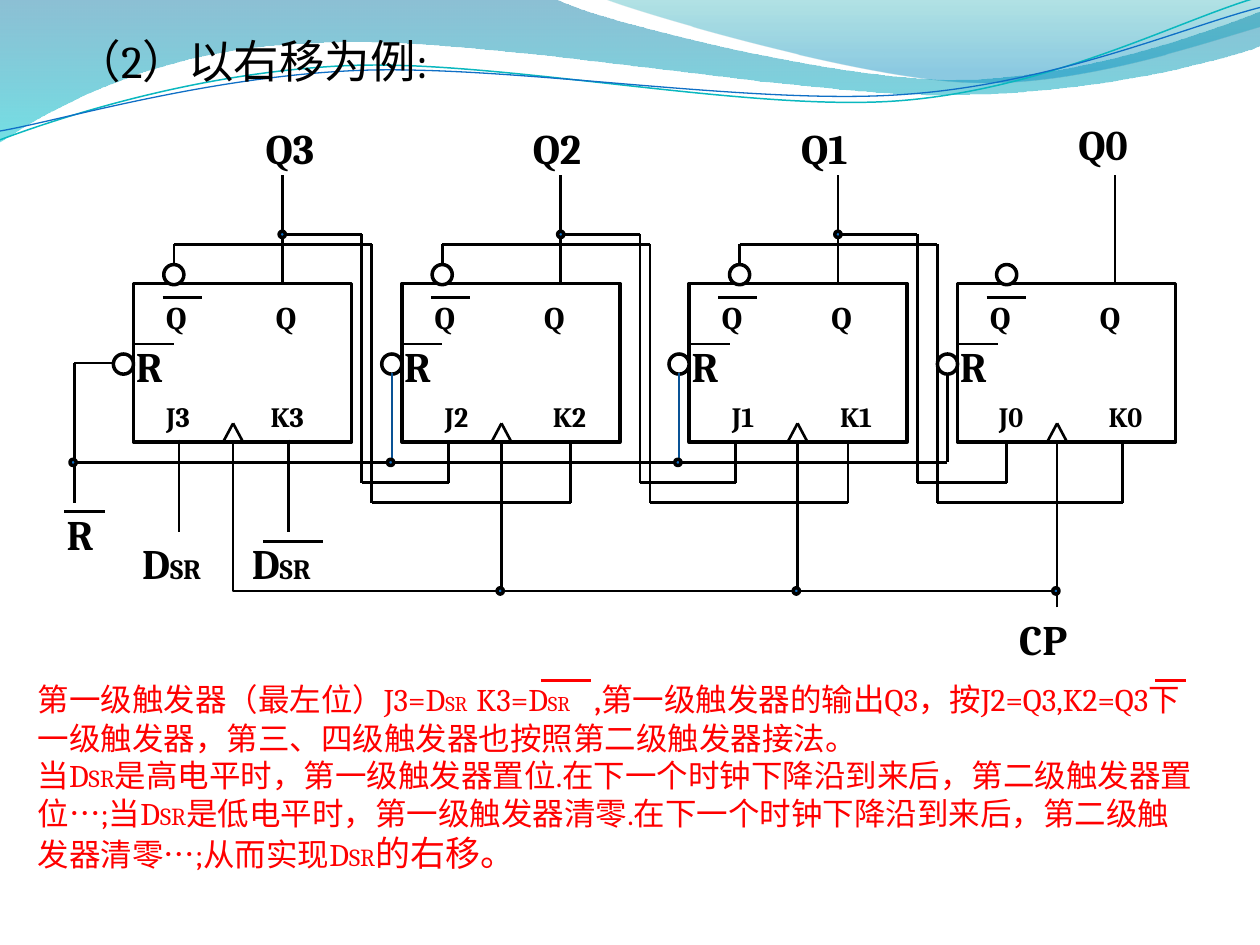
from itertools import pairwise
from math import cos, radians, sin

from lxml.etree import SubElement
from pptx import Presentation
from pptx.dml.color import RGBColor
from pptx.enum.shapes import MSO_CONNECTOR, MSO_SHAPE
from pptx.enum.text import MSO_ANCHOR, PP_ALIGN
from pptx.oxml.ns import qn
from pptx.util import Inches, Pt

FONT = "Cambria"
HUE = {"ink": "000000", "red": "FF0000", "paper": "FFFFFF", "dot": "0F6FC6",
       "wire": "095295", "teal": "0AB8BF", "deep": "0074A1", "aqua": "00C6CF",
       "sea": "00A1A9", "sky": "008BBF"}

# Stage: left edge, place of label, offsets of inverted output and clock,
# then offset and text width of the J and K pins
STAGES = [
    dict(n=3, left=1.06, tag=(2.01, 0.92), inv=0.32, clk=0.79,
         j=(0.16, 0.39), k=(0.99, 0.47)),
    dict(n=2, left=3.19, tag=(4.13, 0.92), inv=0.32, clk=0.79,
         j=(0.24, 0.39), k=(1.10, 0.55)),
    dict(n=1, left=5.47, tag=(6.26, 0.92), inv=0.4, clk=0.86,
         j=(0.24, 0.39), k=(1.10, 0.47)),
    dict(n=0, left=7.60, tag=(8.46, 0.89), inv=0.39, clk=0.79,
         j=(0.23, 0.55), k=(1.10, 0.63)),
]
TOP, WIDE, HIGH = 2.25, 1.73, 1.26
BASE = TOP + HIGH
OUTS = [2.24, 4.45, 6.65, 8.85]


def rgb(name):
    return RGBColor.from_string(HUE[name])


def write(frame, paras, size=24, color="ink", bold=True, right=0.0):
    """Each paragraph is a list of (text, size, extra spacing) runs."""
    frame.word_wrap = True
    frame.margin_right = Inches(right)
    frame.vertical_anchor = MSO_ANCHOR.TOP
    if isinstance(paras, str):
        paras = [[(paras, size, 0)]]
    for i, runs in enumerate(paras):
        para = frame.paragraphs[0] if i == 0 else frame.add_paragraph()
        para.alignment = PP_ALIGN.LEFT
        for words, pts, gap in runs:
            run = para.add_run()
            run.text = words
            font = run.font
            font.name, font.size, font.bold = FONT, Pt(pts), bold
            font.color.rgb = rgb(color)
            if gap:
                run._r.get_or_add_rPr().set("spc", str(gap))


def label(slide, words, x, y, w=0.79, h=0.5, **style):
    box = slide.shapes.add_textbox(Inches(x), Inches(y), Inches(w), Inches(h))
    write(box.text_frame, words, **style)


def join(slide, kind, start, end, color="ink"):
    line = slide.shapes.add_connector(kind, *(Inches(v) for v in start + end))
    line.line.color.rgb = rgb(color)
    line.line.width = Pt(1.5)
    SubElement(line._element.spPr, qn("a:effectLst"))
    return line


def wire(slide, *nodes, color="ink"):
    """Straight lines from node to node."""
    for start, end in pairwise(nodes):
        join(slide, MSO_CONNECTOR.STRAIGHT, start, end, color)


def bend(slide, x, y, right, low):
    """One corner: from lower right, along the bottom, up the left side."""
    line = join(slide, MSO_CONNECTOR.ELBOW, (x, y), (right, low))
    props = line._element.spPr
    props.find(qn("a:prstGeom")).set("prst", "bentConnector2")
    props.find(qn("a:xfrm")).set("rot", str(180 * 60000))


def solid(slide, kind, x, y, w, h, fill="paper"):
    item = slide.shapes.add_shape(kind, Inches(x), Inches(y), Inches(w), Inches(h))
    item.shadow.inherit = False
    item.fill.solid()
    item.fill.fore_color.rgb = rgb(fill)
    item.line.color.rgb = rgb("ink")
    item.line.width = Pt(2)


def ring(slide, x, y, size=0.16, fill="paper"):
    solid(slide, MSO_SHAPE.OVAL, x - size / 2, y - size / 2, size, size, fill)


def dot(slide, x, y):
    ring(slide, x, y, size=0.05, fill="dot")


# Background waves
def trace(slide, start, moves, close):
    """A move of two numbers is a line, one of six a cubic curve."""
    spots = [(Inches(m[i]), Inches(m[i + 1]))
             for m in moves for i in range(0, len(m), 2)]
    pen = slide.shapes.build_freeform(*map(Inches, start))
    pen.add_line_segments(spots, close=close)
    item = pen.convert_to_shape()
    item.shadow.inherit = False
    legs = iter(list(item._element.iter(qn("a:lnTo"))))
    for move in moves:
        leg = next(legs)
        if len(move) == 6:
            leg.tag = qn("a:cubicBezTo")
            for extra in (next(legs), next(legs)):
                leg.append(extra[0])
                extra.getparent().remove(extra)
    return item


def band(slide, start, moves, stops):
    item = trace(slide, start, moves, True)
    item.line.fill.background()
    item.fill.gradient()
    item.fill.gradient_angle = 270
    for stop, (place, color, alpha) in zip(item.fill.gradient_stops, stops):
        stop.position = place
        stop.color.rgb = rgb(color)
        tint = stop._gs.find(qn("a:srgbClr"))
        SubElement(tint, qn("a:alpha")).set("val", str(alpha * 1000))


def strand(slide, mid, start, moves, color, pts, tilt=2.7):
    """A thin curve whose frame is tilted about its middle."""
    c, s = cos(radians(tilt)), sin(radians(tilt))

    def turn(move):
        flat = []
        for x, y in zip(move[::2], move[1::2]):
            dx, dy = x - mid[0], y - mid[1]
            flat += [mid[0] + dx * c - dy * s, mid[1] + dx * s + dy * c]
        return flat

    item = trace(slide, turn(start), [turn(m) for m in moves], False)
    item.rotation = 360 - tilt
    item.fill.background()
    item.line.color.rgb = rgb(color)
    item.line.width = Pt(pts)


def waves(slide):
    band(slide, (0, 0), [
        (4.4, -0.01), (4.76, 0.17, 6.64, 0.63, 7.58, 0.63),
        (8.53, 0.63, 9.58, 0.26, 10, 0.09), (10.01, 0.36),
        (9.83, 0.44, 8.7, 0.76, 7.46, 0.75), (6.22, 0.75, 3.82, 0.28, 2.57, 0.34),
        (1.29, 0.36, 0.46, 0.83, -0.01, 1.13)], [(0, "deep", 45), (1, "aqua", 55)])
    band(slide, (4.79, -0.01), [
        (5.09, 0.11, 6.82, 0.62, 7.69, 0.65),
        (8.56, 0.69, 9.61, 0.32, 10, 0.21), (10, 0)],
        [(0, "sea", 30), (0.8, "sky", 45)])
    strand(slide, (4.99, 0.58), (0, 1.11), [
        (0.48, 0.93, 1.58, 0.57, 2.77, 0.52), (3.95, 0.47, 5.93, 0.89, 7.13, 0.8),
        (8.33, 0.71, 9.38, 0.15, 9.98, -0.02)], "teal", 0.85)
    strand(slide, (5, 0.59), (0, 1.04), [
        (0.47, 0.96, 1.64, 0.61, 2.83, 0.56), (4.03, 0.51, 5.97, 0.84, 7.17, 0.75),
        (8.36, 0.67, 9.41, 0.21, 10, 0.06)], "dot", 0.75)


def title(slide, x, y, w, h):
    head = slide.shapes.title
    head.left, head.top, head.width, head.height = map(Inches, (x, y, w, h))
    write(head.text_frame, "（2）以右移为例:", size=26, bold=False)
    head._element.getparent().append(head._element)  # in front of the waves


# One flip-flop with its pins
def stage(slide, x, y, w, h, n, inv, j, k, clk):
    solid(slide, MSO_SHAPE.RECTANGLE, x, y, w, h)
    ring(slide, x - 0.08, y + 0.64)
    ring(slide, x + inv, y - 0.07)
    for dx in (0.16, 1.03):
        label(slide, "Q", x + dx, y + 0.07, 0.39, 0.4, size=18)
    wire(slide, (x + 0.23, y + 0.11), (x + 0.54, y + 0.11))
    label(slide, "R", x - 0.08, y + 0.4)
    wire(slide, (x, y + 0.48), (x + 0.32, y + 0.48))
    for name, (dx, width) in (("J", j), ("K", k)):
        label(slide, f"{name}{n}", x + dx, y + 0.87, width, 0.37, size=16)
    wire(slide, (x + clk - 0.08, y + h), (x + clk, y + h - 0.15),
         (x + clk + 0.08, y + h))


# Outputs of one stage into J and K of the next
def link(slide, out, inv, drop, jin, kin):
    wire(slide, (out, 1.86), (out + 0.63, 1.86), (out + 0.63, 3.83),
         (jin, 3.83), (jin, BASE))
    wire(slide, (inv, TOP - 0.15), (inv, 1.94), (drop, 1.94), (drop, 3.99),
         (kin, 3.99))
    wire(slide, (kin, BASE), (kin, 3.99))
    dot(slide, out, 1.86)


def reset(slide, x, y, pins):
    wire(slide, (pins[0] - 0.07, 2.88), (x, 2.88), (x, 3.99))
    for pin, color in zip(pins[1:], ("wire", "wire", "ink")):
        wire(slide, (pin, 2.96), (pin, y), color=color)
    wire(slide, (pins[-1], y), (x, y))
    for spot in (x, *pins[1:3]):
        dot(slide, spot - 0.01, y)
    label(slide, "R", x - 0.16, y + 0.32)
    wire(slide, (x - 0.08, y + 0.39), (x + 0.24, y + 0.39))


def clock(slide, y, pins):
    last = pins[-1]
    wire(slide, (last, y + 0.13), (last, BASE))
    for pin in pins[:-1]:
        bend(slide, pin, BASE, pin + 2.05, y)
    for a, b in ((3.58, 4.06), (5.87, 6.57)):  # close the gaps in the bus
        wire(slide, (a, y), (b, y))
    for pin in pins[1:]:
        dot(slide, pin - 0.01, y)
    label(slide, "CP", last - 0.4, y + 0.13)


def serial(slide, x, y):
    for dx in (0, 0.87):
        wire(slide, (x + dx, y - 0.73), (x + dx, y))
        label(slide, [[("D", 24, 0), ("SR", 16, 0)]], x + dx - 0.39, y)
    wire(slide, (x + 0.67, y + 0.08), (x + 1.14, y + 0.08))


def notes(slide, x, y, w, h):
    low = ("SR", 14, 0)
    first = [("第一级触发器（最左位）J3=D", 18, 0), ("SR", 12, 0), (" ", 12, 240),
             ("K3=D", 18, 0), ("SR", 12, 0), (" ", 12, 1090), (",", 20, 0),
             ("第一级触发器的输出Q3，按J2=Q3,K2=Q3下一级触发器，"
              "第三、四级触发器也按照第二级触发器接法。", 18, 0)]
    second = [("当D", 18, 0), low,
              ("是高电平时，第一级触发器置位.在下一个时钟下降沿到来后，"
               "第二级触发器置位…;当D", 18, 0), low,
              ("是低电平时，第一级触发器清零.在下一个时钟下降沿到来后，"
               "第二级触发器清零…;从而实现D", 18, 0), low, ("的右移。", 20, 0)]
    label(slide, [first, second], x, y, w, h, color="red", bold=False, right=0.1)
    for a, b in ((4.09, 4.49), (8.97, 9.21)):
        wire(slide, (x + a, y + 0.08), (x + b, y + 0.08), color="red")


def main():
    deck = Presentation()
    deck.slide_width, deck.slide_height = Inches(10), Inches(7.5)
    slide = deck.slides.add_slide(deck.slide_layouts[5])
    waves(slide)
    title(slide, 0.5, 0.21, 9, 6.71)
    notes(slide, 0.2, 5.32, 9.37, 1.99)
    for s, out in zip(STAGES, OUTS):
        stage(slide, s["left"], TOP, WIDE, HIGH, s["n"],
              s["inv"], s["j"], s["k"], s["clk"])
        label(slide, f"Q{s['n']}", *s["tag"])
        wire(slide, (out, 1.39), (out, TOP))
    invs = [s["left"] + s["inv"] for s in STAGES]
    ends = [(2.95, 3.56, 4.53), (5.16, 5.84, 6.73), (7.44, 7.99, 8.91)]
    for out, inv, end in zip(OUTS, invs, ends):
        link(slide, out, inv, *end)
    reset(slide, 0.59, 3.67, [s["left"] - 0.08 for s in STAGES])
    clock(slide, 4.69, [s["left"] + s["clk"] for s in STAGES])
    serial(slide, 1.42, 4.22)
    deck.save("out.pptx")


if __name__ == "__main__":
    main()
